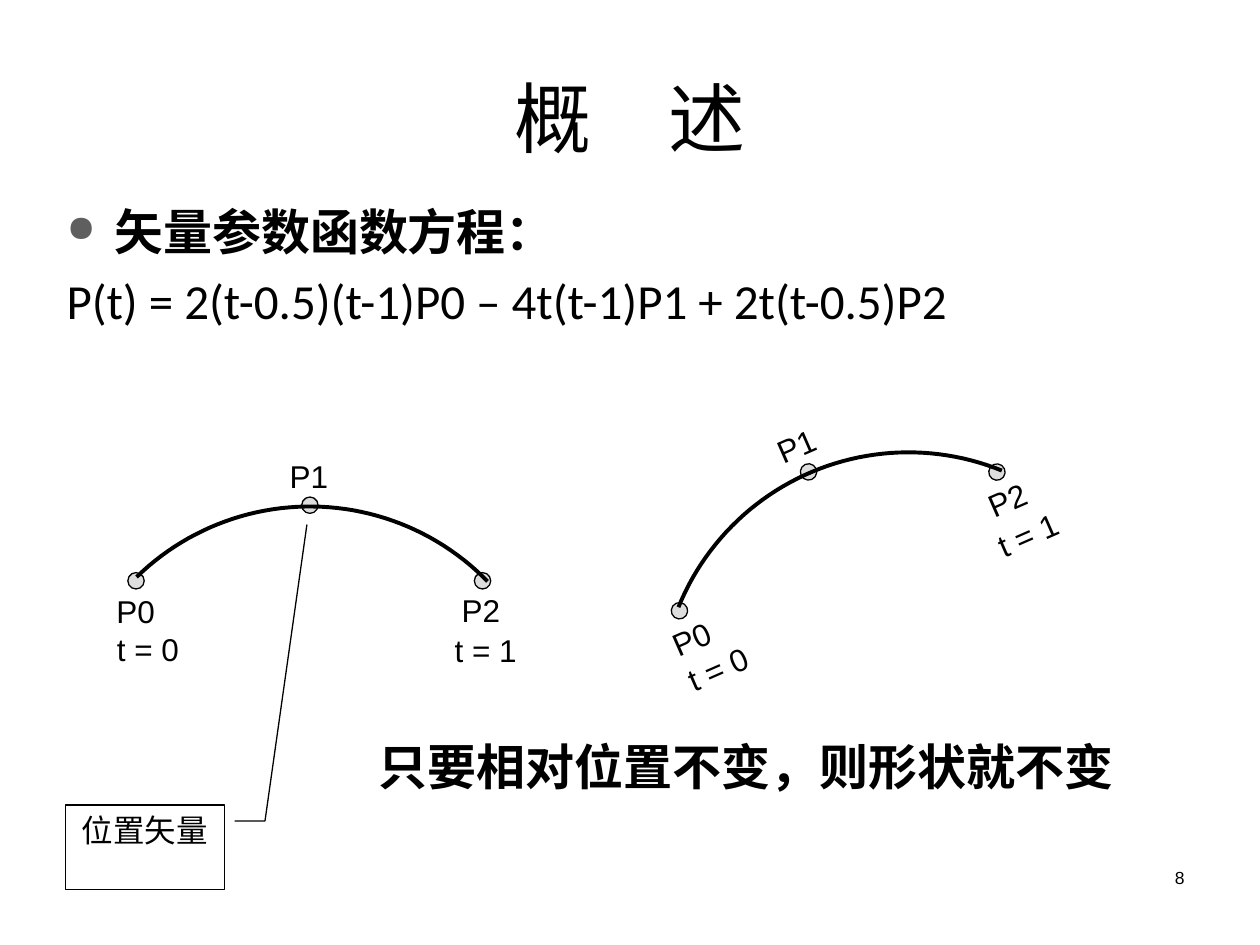
import math
from dataclasses import dataclass

import pptx
import pptx.dml.color
import pptx.enum.shapes
import pptx.enum.text
import pptx.oxml
import pptx.oxml.ns
import pptx.util
from pptx.util import Inches, Pt

ALIGN = pptx.enum.text.PP_ALIGN
ANCHOR = pptx.enum.text.MSO_ANCHOR
SHAPE = pptx.enum.shapes.MSO_SHAPE


@dataclass(frozen=True)
class Theme:
    """Colours, fonts and type sizes of the slide."""
    ink: str = "000000"
    dot: str = "DDDDDD"
    bullet: str = "5F5F5F"
    heading_font: str = "Calibri"
    label_font: str = "Arial"
    title: int = 44
    body: int = 28
    label: int = 18
    number: int = 10
    hairline: float = 0.75
    curve: float = 2.25


THEME = Theme()
DOT_SIZE = 0.13
RADIUS = 1.97
ARC_STEPS = 48
DOTS = [(0, -1.98), (1.37, -1.38), (-1.38, -1.38)]
LABELS = [
    ("P0", -1.28, -1.14, 0.71),
    ("P1", 0.29, -2.21, 1.1),
    ("P2", 1.46, -1.15, 0.71),
    ("t = 0", -1.16, -0.84, 0.94),
    ("t = 1", 1.52, -0.83, 0.94),
]


def rgb(value):
    """Turn a hex string into a colour."""
    return pptx.dml.color.RGBColor.from_string(value)


def style(paragraph, size, face, bold=False, align=ALIGN.LEFT):
    """Set the font and alignment of a paragraph."""
    paragraph.alignment = align
    paragraph.font.size = Pt(size)
    paragraph.font.name = face
    paragraph.font.bold = bold
    paragraph.font.color.rgb = rgb(THEME.ink)


def outline(shape, width):
    """Give a shape a dark line and no shadow."""
    shape.shadow.inherit = False
    shape.line.color.rgb = rgb(THEME.ink)
    shape.line.width = Pt(width)


def add_text(shapes, box, text, size, face, bold=False, align=ALIGN.LEFT,
             anchor=ANCHOR.TOP, grow=False):
    """Add a wrapping one-paragraph text box."""
    text_box = shapes.add_textbox(*map(Inches, box))
    frame = text_box.text_frame
    frame.word_wrap = True
    frame.vertical_anchor = anchor
    if grow:
        frame.auto_size = pptx.enum.text.MSO_AUTO_SIZE.SHAPE_TO_FIT_TEXT
    frame.text = text
    style(frame.paragraphs[0], size, face, bold, align)
    return text_box


def add_bullet(paragraph):
    """Put a small grey round bullet on a paragraph."""
    namespace = pptx.oxml.ns.nsdecls("a")
    for markup in (
        f'<a:buClr {namespace}><a:srgbClr val="{THEME.bullet}"/></a:buClr>',
        f'<a:buSzPct {namespace} val="75000"/>',
        f'<a:buChar {namespace} char="●"/>',
    ):
        paragraph._p.get_or_add_pPr().append(pptx.oxml.parse_xml(markup))


def add_equation(slide, box):
    """Add the bulleted heading with the equation below it."""
    text_box = slide.shapes.add_textbox(*map(Inches, box))
    frame = text_box.text_frame
    frame.word_wrap = True
    heading = frame.paragraphs[0]
    equation = frame.add_paragraph()
    heading.text = "矢量参数函数方程："
    equation.text = "P(t) = 2(t-0.5)(t-1)P0 – 4t(t-1)P1 + 2t(t-0.5)P2"
    add_bullet(heading)
    for paragraph in (heading, equation):
        properties = paragraph._p.get_or_add_pPr()
        properties.set("marL", str(Inches(0.38)))
        properties.set("indent", str(-Inches(0.38)))
        style(paragraph, THEME.body, THEME.heading_font, paragraph is heading)
    equation.space_before = Pt(6)


def add_curve(slide, centre, tilt):
    """Add a quarter arc with its three labelled points, turned about its centre."""
    shapes = slide.shapes.add_group_shape().shapes
    turn = math.radians(tilt)

    def place(x, y):
        return (centre[0] + x * math.cos(turn) - y * math.sin(turn),
                centre[1] + x * math.sin(turn) + y * math.cos(turn))

    def box_around(x, y, width, height):
        middle_x, middle_y = place(x, y)
        return middle_x - width / 2, middle_y - height / 2, width, height

    for x, y in DOTS:
        dot = shapes.add_shape(
            SHAPE.OVAL, *map(Inches, box_around(x, y, DOT_SIZE, DOT_SIZE)))
        dot.rotation = tilt
        dot.fill.solid()
        dot.fill.fore_color.rgb = rgb(THEME.dot)
        outline(dot, THEME.hairline)

    angles = [math.radians(-134.3 + 90 * step / ARC_STEPS)
              for step in range(ARC_STEPS + 1)]
    points = [tuple(map(Inches, place(RADIUS * math.cos(a), RADIUS * math.sin(a))))
              for a in angles]
    builder = shapes.build_freeform(*points[0])
    builder.add_line_segments(points[1:], close=False)
    arc = builder.convert_to_shape()
    arc.fill.background()
    outline(arc, THEME.curve)

    for text, x, y, width in LABELS:
        label = add_text(shapes, box_around(x, y, width, 0.4), text,
                         THEME.label, THEME.label_font, grow=True)
        label.rotation = tilt


def add_callout(slide, box):
    """Add the framed note whose leader points at P1."""
    callout = slide.shapes.add_shape(SHAPE.LINE_CALLOUT_2, *map(Inches, box))
    for index, value in enumerate((0.188, 1.066, 0.188, 1.257, -3.323, 1.521)):
        callout.adjustments[index] = value
    callout.fill.background()
    outline(callout, THEME.hairline)
    frame = callout.text_frame
    frame.word_wrap = True
    frame.vertical_anchor = ANCHOR.TOP
    frame.text = "位置矢量"
    style(frame.paragraphs[0], THEME.label, THEME.label_font, align=ALIGN.CENTER)


def main():
    """Build and save the slide."""
    deck = pptx.Presentation()
    deck.slide_width, deck.slide_height = Inches(10), Inches(7.5)
    slide = deck.slides.add_slide(deck.slide_layouts[6])
    add_text(slide.shapes, (7.17, 6.83, 2.33, 0.5), "8", THEME.number,
             THEME.label_font, align=ALIGN.RIGHT)
    add_text(slide.shapes, (0.5, 0.3, 9, 1.25), "概　述", THEME.title,
             THEME.heading_font, align=ALIGN.CENTER, anchor=ANCHOR.MIDDLE)
    add_equation(slide, (0.43, 1.55, 9, 1.37))
    add_curve(slide, (2.46, 5.99), 0)
    add_curve(slide, (7.21, 5.56), -23.6)
    add_text(slide.shapes, (2.91, 5.8, 6.26, 0.57), "只要相对位置不变，则形状就不变",
             THEME.body, THEME.label_font, bold=True, grow=True)
    add_callout(slide, (0.52, 6.39, 1.26, 0.67))
    deck.save("out.pptx")


if __name__ == "__main__":
    main()
